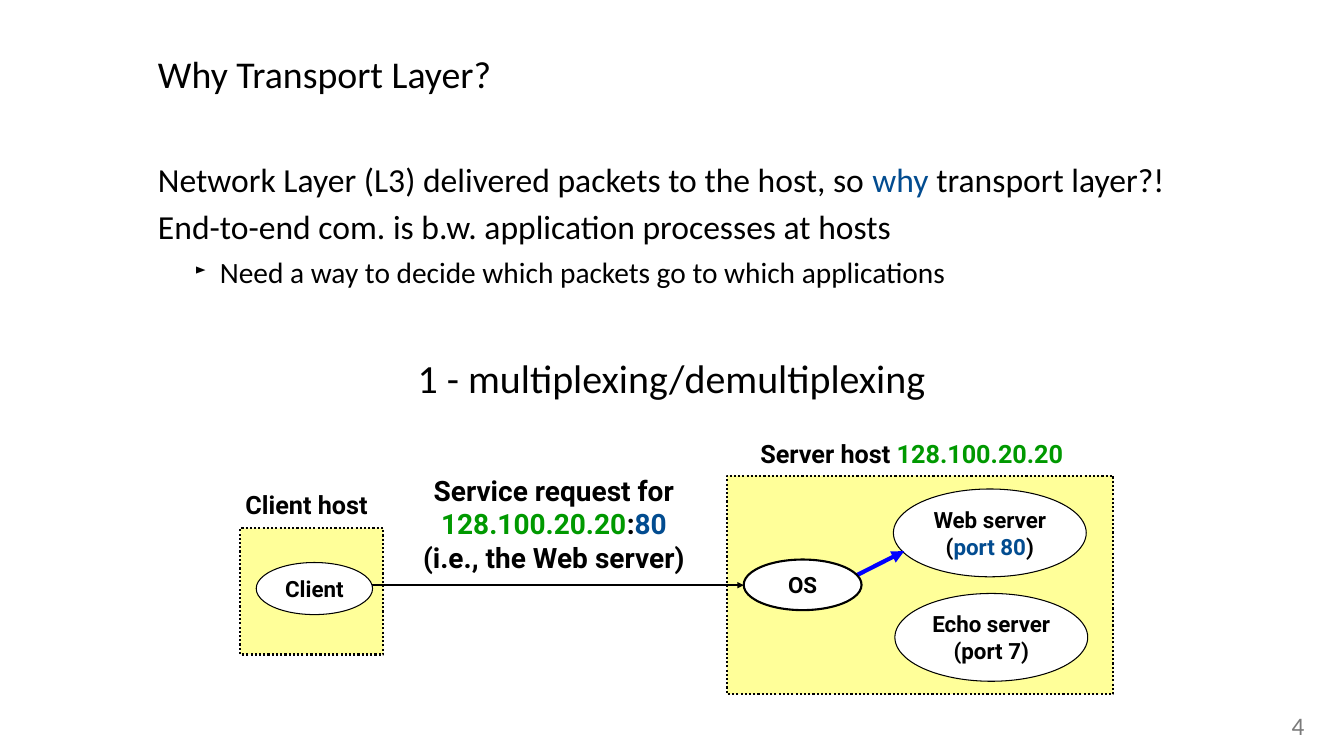
from dataclasses import dataclass

from lxml.etree import SubElement
from pptx import Presentation
from pptx.dml.color import RGBColor
from pptx.enum.dml import MSO_LINE
from pptx.enum.shapes import MSO_CONNECTOR, MSO_SHAPE
from pptx.enum.text import MSO_ANCHOR, MSO_AUTO_SIZE, PP_ALIGN
from pptx.oxml.ns import qn
from pptx.util import Cm, Pt


@dataclass(frozen=True)
class Theme:
    body_font: str = "Calibri"
    diagram_font: str = "Roboto"
    black: str = "000000"
    white: str = "FFFFFF"
    gray: str = "7A7A7A"
    port: str = "024C90"
    address: str = "009900"
    host: str = "FFFF99"
    arrow: str = "0000FF"
    title: float = 36
    body: float = 32
    detail: float = 28
    heading: float = 38
    label: float = 24
    request: float = 26.7
    node: float = 21.3


THEME = Theme()


def color(value):
    return RGBColor.from_string(value)


def write_line(paragraph, runs, size, font, bold=False, align=PP_ALIGN.LEFT):
    paragraph.alignment = align
    paragraph.font.size = Pt(size)
    paragraph.font.name = font
    paragraph.font.bold = bold
    for text, run_color in runs:
        run = paragraph.add_run()
        run.text = text
        run.font.color.rgb = color(run_color)


def write_lines(frame, lines, size, font, bold=False, align=PP_ALIGN.LEFT):
    for index, runs in enumerate(lines):
        paragraph = frame.add_paragraph() if index else frame.paragraphs[0]
        write_line(paragraph, runs, size, font, bold, align)


def set_margins(frame, horizontal, top, bottom):
    frame.margin_left = frame.margin_right = Cm(horizontal)
    frame.margin_top, frame.margin_bottom = Cm(top), Cm(bottom)


def add_text_box(slide, bounds, wrap=True, grow=True):
    frame = slide.shapes.add_textbox(*map(Cm, bounds)).text_frame
    frame.word_wrap = wrap
    frame.auto_size = MSO_AUTO_SIZE.SHAPE_TO_FIT_TEXT if grow else MSO_AUTO_SIZE.NONE
    return frame


def add_body_box(slide, top, height, margin_top, margin_bottom):
    frame = add_text_box(slide, (4.42, top, 36.35, height), grow=False)
    set_margins(frame, 0, margin_top, margin_bottom)
    frame.vertical_anchor = MSO_ANCHOR.MIDDLE
    return frame


def indent(paragraph, left, first=0, bullet=None):
    properties = paragraph._p.get_or_add_pPr()
    properties.set("marL", str(Cm(left)))
    properties.set("indent", str(Cm(first)))
    if bullet:
        SubElement(properties, qn("a:buSzPct"), val="50000")
        SubElement(properties, qn("a:buChar"), char=bullet)


def add_body(slide):
    lines = [
        ([("Network Layer (L3) delivered packets to the host, so ", THEME.black),
          ("why ", THEME.port), ("transport layer?!", THEME.black)], 0),
        ([("End-to-end com. is b.w. application processes at hosts", THEME.black)], 0),
        ([("Need a way to decide which packets go to which applications", THEME.black)], 1),
    ]
    frame = add_body_box(slide, 6.1, 3.99, 0, 1.14)
    for index, (runs, level) in enumerate(lines):
        paragraph = frame.add_paragraph() if index else frame.paragraphs[0]
        if level:
            paragraph.level = level
            indent(paragraph, 2.97, -0.84, "►")
        else:
            indent(paragraph, 0.89)
        if index:
            paragraph.space_before = Pt(7)
        write_line(paragraph, runs, THEME.detail if level else THEME.body, THEME.body_font)


def add_outlined(slide, kind, bounds, fill, width):
    shape = slide.shapes.add_shape(kind, *map(Cm, bounds))
    shape.shadow.inherit = False
    shape.fill.solid()
    shape.fill.fore_color.rgb = color(fill)
    shape.line.color.rgb = color(THEME.black)
    shape.line.width = Pt(width)
    return shape


def add_host(slide, bounds):
    shape = add_outlined(slide, MSO_SHAPE.RECTANGLE, bounds, THEME.host, 2)
    shape.line.dash_style = MSO_LINE.ROUND_DOT


def add_node(slide, bounds, lines, width=1):
    shape = add_outlined(slide, MSO_SHAPE.OVAL, bounds, THEME.white, width)
    frame = shape.text_frame
    frame.word_wrap = False
    frame.vertical_anchor = MSO_ANCHOR.MIDDLE
    set_margins(frame, 0.33, 0.18, 0.18)
    write_lines(frame, lines, THEME.node, THEME.diagram_font, True, PP_ALIGN.CENTER)


def add_label(slide, bounds, runs):
    frame = add_text_box(slide, bounds, wrap=False)
    write_lines(frame, [runs], THEME.label, THEME.diagram_font, True)


def add_arrow(slide, points, line_color, width):
    connector = slide.shapes.add_connector(MSO_CONNECTOR.STRAIGHT, *map(Cm, points))
    connector.line.color.rgb = color(line_color)
    connector.line.width = Pt(width)
    SubElement(connector.line._get_or_add_ln(), qn("a:tailEnd"), type="triangle")
    SubElement(connector._element.spPr, qn("a:effectLst"))


def add_texts(slide):
    number = add_text_box(slide, (43.03, 23.85, 1.17, 1.27), wrap=False)
    set_margins(number, 0, 0, 0)
    write_lines(number, [[("4", THEME.gray)]], THEME.label, THEME.body_font,
                align=PP_ALIGN.CENTER)
    title = add_body_box(slide, 0, 4.7, 0.25, 0)
    indent(title.paragraphs[0], 0.89)
    write_lines(title, [[("Why Transport Layer?", THEME.black)]], THEME.title, THEME.body_font)
    add_body(slide)
    heading = add_text_box(slide, (11.28, 11.76, 22.58, 1.88))
    write_lines(heading, [[("1 - multiplexing/demultiplexing", THEME.black)]],
                THEME.heading, THEME.body_font, align=PP_ALIGN.CENTER)


def add_diagram(slide):
    black, port, address = THEME.black, THEME.port, THEME.address
    add_host(slide, (8.08, 17.75, 4.8, 4.24))
    add_host(slide, (24.43, 15.98, 12.98, 7.34))
    add_node(slide, (30.02, 16.43, 6.48, 2.95),
             [[("Web server", black)], [("(", black), ("port 80", port), (")", black)]])
    add_label(slide, (8, 16.31, 4.93, 1.27), [("Client host", black)])
    add_label(slide, (25.3, 14.61, 10.92, 1.27),
              [("Server host ", black), ("128.100.20.20", address)])
    add_arrow(slide, (12.29, 19.66, 24.99, 19.66), black, 2)
    add_node(slide, (30.07, 19.94, 6.48, 2.95),
             [[("Echo server", black)], [("(port 7)", black)]])
    request = add_text_box(slide, (13.18, 15.77, 10.87, 3.68))
    write_lines(request, [
        [("Service request for", black)],
        [("128.100.20.20", address), (":", black), ("80", port)],
        [("(i.e., the Web server)", black)],
    ], THEME.request, THEME.diagram_font, True, PP_ALIGN.CENTER)
    add_arrow(slide, (28.68, 19.38, 30.38, 18.52), THEME.arrow, 4)
    add_node(slide, (24.99, 18.8, 3.96, 1.7), [[("OS", black)]], 2)
    add_node(slide, (8.61, 18.9, 3.91, 1.75), [[("Client", black)]])


def main():
    presentation = Presentation()
    presentation.slide_width, presentation.slide_height = Cm(45.16), Cm(25.4)
    slide = presentation.slides.add_slide(presentation.slide_layouts[6])
    add_texts(slide)
    add_diagram(slide)
    presentation.save("out.pptx")


if __name__ == "__main__":
    main()
